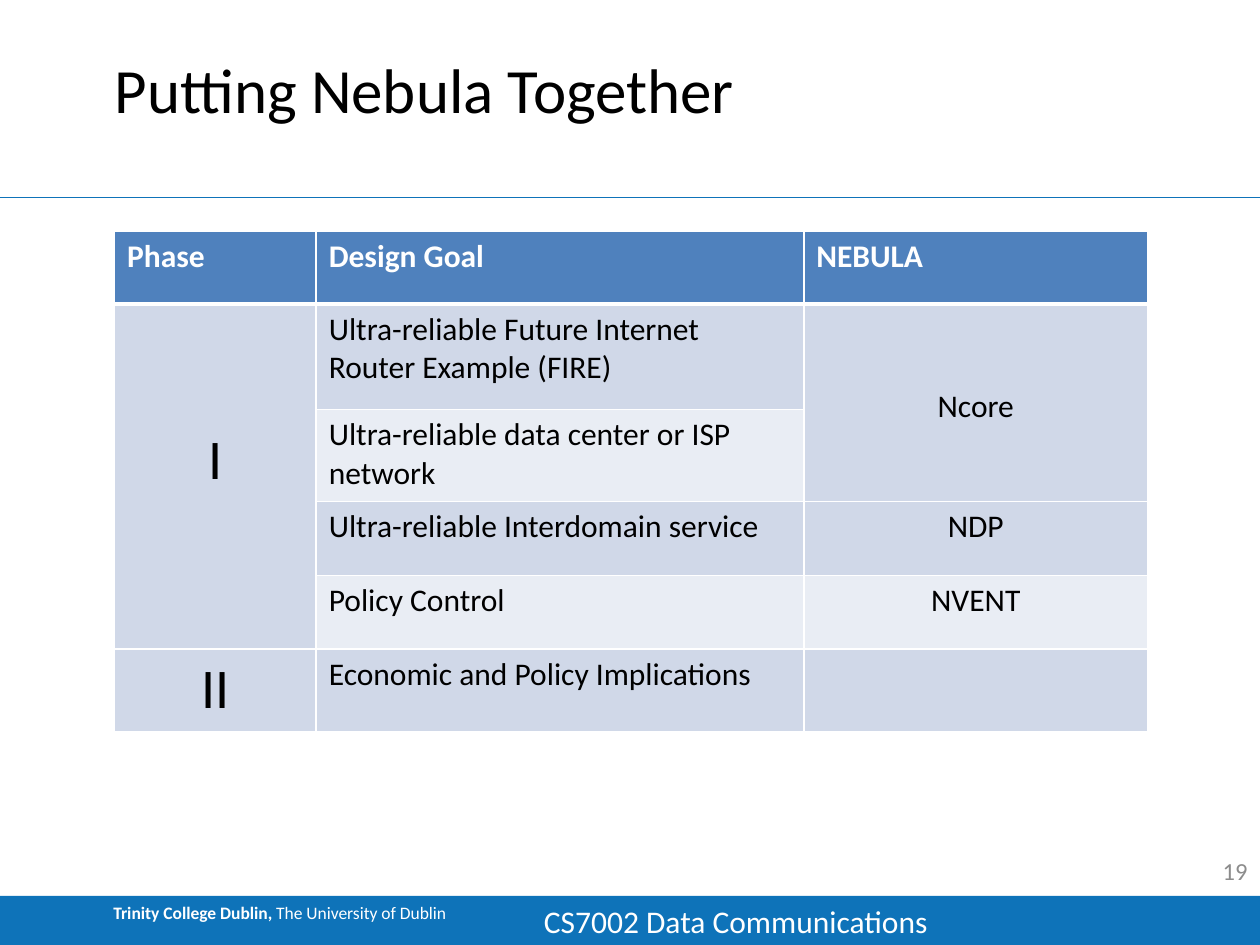
from lxml import etree
from pptx import Presentation
from pptx.dml.color import RGBColor
from pptx.enum.shapes import MSO_CONNECTOR, MSO_SHAPE
from pptx.enum.text import MSO_ANCHOR, PP_ALIGN
from pptx.oxml.ns import qn
from pptx.util import Pt

LEFT, CENTER, RIGHT = PP_ALIGN.LEFT, PP_ALIGN.CENTER, PP_ALIGN.RIGHT
TOP, MIDDLE, BOTTOM = MSO_ANCHOR.TOP, MSO_ANCHOR.MIDDLE, MSO_ANCHOR.BOTTOM
COLORS = {
    "brand": "0E73B9", "header": "4F81BD", "dark_band": "D0D8E8",
    "light_band": "E9EDF4", "white": "FFFFFF", "black": "000000", "grey": "8C8C8C",
}


def color(name):
    return RGBColor.from_string(COLORS[name])


def write(frame, spans, size, color_name, align=LEFT, anchor=TOP):
    """Fill the first paragraph with (text, bold) spans."""
    frame.word_wrap = True
    frame.vertical_anchor = anchor
    para = frame.paragraphs[0]
    para.alignment = align
    for text, bold in spans:
        span = para.add_run()
        span.text = text
        span.font.name = "Calibri"
        span.font.size = Pt(size)
        span.font.bold = bold
        span.font.color.rgb = color(color_name)


deck = Presentation()
deck.slide_width, deck.slide_height = Pt(720), Pt(540)
page = deck.slides.add_slide(deck.slide_layouts[5])

# Footer bar and header rule
bar = page.shapes.add_shape(MSO_SHAPE.RECTANGLE, 0, Pt(512), Pt(720), Pt(28))
bar.shadow.inherit = False
bar.fill.solid()
bar.fill.fore_color.rgb = color("brand")
bar.line.fill.background()
bar.text_frame.margin_left = Pt(64.8)
write(bar.text_frame,
      [("Trinity College Dublin, ", True), ("The University of Dublin", False)], 10, "white")

rule = page.shapes.add_connector(MSO_CONNECTOR.STRAIGHT, 0, Pt(113), Pt(720), Pt(113))
rule.line.color.rgb = color("brand")
rule.line.width = Pt(0.75)
etree.SubElement(rule.element.spPr, qn("a:effectLst"))

course = page.shapes.add_textbox(Pt(303.8), Pt(512), Pt(244.8), Pt(28.8))
write(course.text_frame, [("CS7002 Data Communications", False)], 18, "white")

number = page.shapes.add_textbox(Pt(558), Pt(483), Pt(162), Pt(28.8))
write(number.text_frame, [("19", False)], 14, "grey", RIGHT, MIDDLE)

# Title
title = page.shapes.title
title.left, title.top, title.width, title.height = Pt(65.5), Pt(28), Pt(590.4), Pt(44)
frame = title.text_frame
frame.margin_left = frame.margin_top = frame.margin_right = frame.margin_bottom = 0
write(frame, [("Putting Nebula Together", False)], 36, "black", LEFT, BOTTOM)

# Phase table
column_widths = [115.2, 278.6, 196.6]
row_heights = [41.8, 60.2, 52.6, 42.2, 42.2, 47.5]
rows = [
    ("Phase", "Design Goal", "NEBULA"),
    ("I", "Ultra-reliable Future Internet Router Example (FIRE)", "Ncore"),
    ("", "Ultra-reliable data center or ISP network", ""),
    ("", "Ultra-reliable Interdomain service", "NDP"),
    ("", "Policy Control", "NVENT"),
    ("II", "Economic and Policy Implications", ""),
]
table = page.shapes.add_table(
    len(rows), len(column_widths), Pt(65.5), Pt(132),
    Pt(sum(column_widths)), Pt(sum(row_heights))).table
for column, width in zip(table.columns, column_widths):
    column.width = Pt(width)
for row, height in zip(table.rows, row_heights):
    row.height = Pt(height)

for r, texts in enumerate(rows):
    is_header = r == 0
    band = "header" if is_header else "dark_band" if r % 2 else "light_band"
    for c, text in enumerate(texts):
        cell = table.cell(r, c)
        cell.fill.solid()
        cell.fill.fore_color.rgb = color(band)
        is_phase = c == 0 and not is_header
        if text:
            write(cell.text_frame, [(text, is_header)], 32 if is_phase else 18,
                  "white" if is_header else "black",
                  LEFT if is_header or c == 1 else CENTER)
        properties = cell._tc.get_or_add_tcPr()
        for position, side in enumerate(("lnL", "lnR", "lnT", "lnB")):
            thick = (is_header and side == "lnB") or (r == 1 and side == "lnT")
            border = etree.Element(qn(f"a:{side}"), w=str(Pt(3 if thick else 1)))
            fill = etree.SubElement(border, qn("a:solidFill"))
            etree.SubElement(fill, qn("a:srgbClr"), val=COLORS["white"])
            properties.insert(position, border)

phase_one, ncore = table.cell(1, 0), table.cell(1, 2)
phase_one.merge(table.cell(4, 0))
ncore.merge(table.cell(2, 2))
phase_one.vertical_anchor = ncore.vertical_anchor = MIDDLE
phase_one.margin_bottom = Pt(21.6)
ncore.margin_top = Pt(8)

deck.save("out.pptx")
